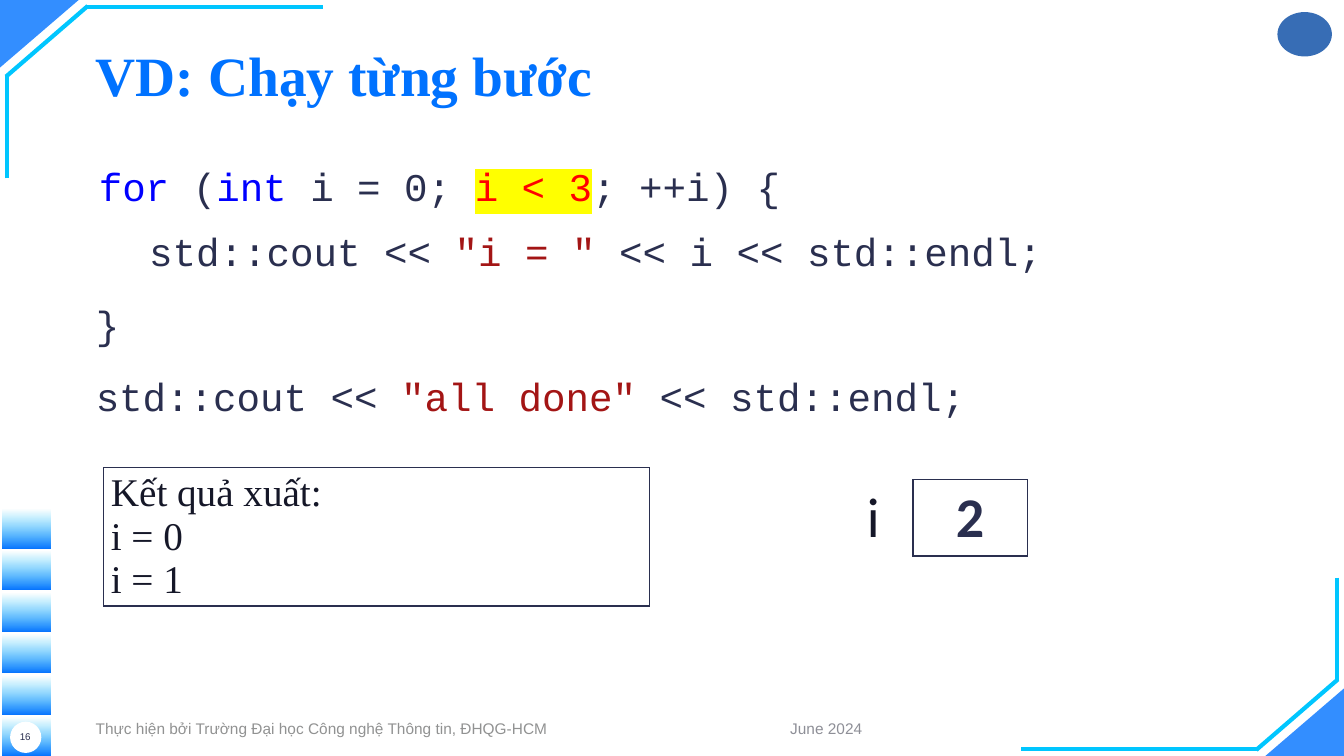
"""Build the slide that steps through a C++ for loop."""
from lxml import etree
from pptx import Presentation
from pptx.dml.color import RGBColor
from pptx.enum.shapes import MSO_CONNECTOR, MSO_SHAPE
from pptx.enum.text import MSO_ANCHOR, MSO_AUTO_SIZE, PP_ALIGN
from pptx.oxml.ns import qn
from pptx.util import Inches, Pt

STRAIGHT = MSO_CONNECTOR.STRAIGHT
TRIANGLE, RECT, OVAL = MSO_SHAPE.ISOSCELES_TRIANGLE, MSO_SHAPE.RECTANGLE, MSO_SHAPE.OVAL
TOP, MIDDLE = MSO_ANCHOR.TOP, MSO_ANCHOR.MIDDLE
LEFT, CENTER = PP_ALIGN.LEFT, PP_ALIGN.CENTER

WIDTH, HEIGHT = 13.33, 7.5
BLUE, CYAN, NAVY, INK = "0072FF", "00C6FF", "2A2F4F", "151728"
KEYWORD, STRING, ACTIVE, MARKER = "0000FF", "A31515", "FF0000", "FFFF00"
SERIF, SANS, MONO, ROUND = "Times New Roman", "Arial", "Courier New", "Calibri"

TITLE = "VD: Chạy từng bước"
LOOP = [
    [("for", KEYWORD), (" (", NAVY), ("int ", KEYWORD), ("i = 0; ", NAVY),
     ("i < 3", ACTIVE), ("; ++i) {\v\tstd::cout << ", NAVY),
     ('"i = "', STRING), (" << i << std::endl;", NAVY)],
    [("}", NAVY)],
    [("std::cout << ", NAVY), ('"all done" ', STRING), ("<< std::endl;", NAVY)],
]
LOOP_INDENTS = [(0.03, 0), (0.25, -0.25), (0.25, -0.25)]
OUTPUT = ["Kết quả xuất:", "i = 0", "i = 1"]
VARIABLE, VALUE = "i", "2"
FOOTERS = [
    ("Thực hiện bởi Trường Đại học Công nghệ Thông tin, ĐHQG-HCM",
     (0.85, 7.08, 4.72, 0.29), 11, "919292", LEFT),
    ("16", (0.06, 7.12, 0.38, 0.38), 7, NAVY, CENTER),
    ("June 2024", (7.05, 7.08, 2.29, 0.29), 11, "8E8F97", CENTER),
]
CORNER_LINES = [((3.2, 0.07), (0.85, 0.07)), ((0.87, 0.06), (0.06, 0.76)),
                ((0.07, 1.77), (0.07, 0.74))]
CORNER_SIZE = (0.78, 0.67)
BAR_COUNT, BAR_TOP, BAR_STEP = 6, 5.06, 0.412


def rgb(value):
    return RGBColor.from_string(value)


def box(at):
    return [Inches(n) for n in at]


def set_alpha(color_element, percent):
    etree.SubElement(color_element, qn("a:alpha")).set("val", str(percent * 1000))


def add_run(paragraph, text, size, font, color, bold=False):
    run = paragraph.add_run()
    run.text = text
    run.font.size, run.font.name, run.font.bold = Pt(size), font, bold
    run.font.color.rgb = rgb(color)
    return run


def add_plain(slide, kind, at, color=None):
    shape = slide.shapes.add_shape(kind, *box(at))
    shape.shadow.inherit = False
    shape.line.fill.background()
    if color:
        shape.fill.solid()
        shape.fill.fore_color.rgb = rgb(color)
    return shape


def add_corner(slide, turned):
    def place(x, y):
        return (WIDTH - x, HEIGHT - y) if turned else (x, y)

    w, h = CORNER_SIZE
    left, top = place(w, h) if turned else (0, 0)
    wedge = add_plain(slide, TRIANGLE, (left, top, w, h), BLUE)
    wedge.adjustments[0] = 1
    wedge.rotation = 0 if turned else 180
    set_alpha(wedge._element.spPr.find(".//" + qn("a:srgbClr")), 80)
    for start, end in CORNER_LINES:
        line = slide.shapes.add_connector(STRAIGHT, *box(place(*start) + place(*end)))
        line.line.color.rgb = rgb(CYAN)
        line.line.width = Pt(3)
        etree.SubElement(line._element.spPr, qn("a:effectLst"))


def add_bars(slide):
    for i in range(BAR_COUNT):
        bar = add_plain(slide, RECT, (0.02, BAR_TOP + i * BAR_STEP, 0.48, 0.38))
        bar.fill.gradient()
        bar.fill.gradient_angle = 90
        for stop, color in zip(bar.fill.gradient_stops, (BLUE, CYAN)):
            stop.color.rgb = rgb(color)
        set_alpha(bar._element.spPr.findall(".//" + qn("a:srgbClr"))[-1], 0)


def add_title(slide):
    title = slide.shapes.title
    title.left, title.top, title.width, title.height = box((0.85, 0.24, 11.57, 0.86))
    frame = title.text_frame
    frame.auto_size, frame.vertical_anchor = MSO_AUTO_SIZE.NONE, MIDDLE
    line = frame.paragraphs[0]
    line.alignment, line.line_spacing = LEFT, 1.2
    add_run(line, TITLE, 39.6, SERIF, BLUE, True)


def add_loop(slide):
    code = slide.placeholders[1]
    code.left, code.top, code.width, code.height = box((0.85, 1.35, 11.57, 5.41))
    frame = code.text_frame
    frame.auto_size, frame.vertical_anchor = MSO_AUTO_SIZE.NONE, TOP
    for i, (parts, (margin, indent)) in enumerate(zip(LOOP, LOOP_INDENTS)):
        line = frame.add_paragraph() if i else frame.paragraphs[0]
        props = line._p.get_or_add_pPr()
        props.set("marL", str(Inches(margin)))
        props.set("indent", str(Inches(indent)))
        etree.SubElement(props, qn("a:buNone"))
        line.alignment, line.line_spacing = LEFT, 1.37
        line.space_before, line.space_after = Pt(3 if i else 0), Pt(3)
        for text, color in parts:
            for j, piece in enumerate(text.split("\v")):
                if j:
                    line.add_line_break()
                run = add_run(line, piece, 28, MONO, color)
                if color == ACTIVE:
                    mark = etree.Element(qn("a:highlight"))
                    etree.SubElement(mark, qn("a:srgbClr")).set("val", MARKER)
                    run._r.rPr.find(qn("a:solidFill")).addnext(mark)
    frame.margin_top = Inches(0.09)


def add_grid(slide, at, columns):
    table = slide.shapes.add_table(1, columns, *box(at)).table
    table.first_row = table.horz_banding = False
    return table


def format_cell(cell, lines, size, font, color, sides, anchor, align, bold=False):
    cell.fill.background()
    cell.vertical_anchor = anchor
    cell.margin_left = cell.margin_right = Inches(0.07)
    cell.margin_top = cell.margin_bottom = Inches(0.04)
    props = cell._tc.get_or_add_tcPr()
    for i, side in enumerate("LRTB"):
        border = etree.Element(qn("a:ln" + side), w=str(Pt(1)))
        if side in sides:
            fill = etree.SubElement(border, qn("a:solidFill"))
            etree.SubElement(fill, qn("a:srgbClr")).set("val", NAVY)
        else:
            etree.SubElement(border, qn("a:noFill"))
        props.insert(i, border)
    for i, text in enumerate(lines):
        line = cell.text_frame.add_paragraph() if i else cell.text_frame.paragraphs[0]
        line.alignment = align
        add_run(line, text, size, font, color, bold)


def add_tables(slide):
    state = add_grid(slide, (7.92, 4.76, 2.27, 0.74), 2)
    name, value = state.cell(0, 0), state.cell(0, 1)
    format_cell(name, [VARIABLE], 40, ROUND, INK, "R", MIDDLE, CENTER)
    name.margin_left = Inches(0.42)
    format_cell(value, [VALUE], 40, ROUND, NAVY, "LRTB", MIDDLE, CENTER, True)
    output = add_grid(slide, (1.03, 4.64, 5.41, 1.37), 1)
    format_cell(output.cell(0, 0), OUTPUT, 28, SERIF, INK, "LRTB", TOP, LEFT)


def add_footers(slide):
    for text, at, size, color, align in FOOTERS:
        frame = slide.shapes.add_textbox(*box(at)).text_frame
        frame.word_wrap, frame.vertical_anchor = True, MIDDLE
        frame.paragraphs[0].alignment = align
        add_run(frame.paragraphs[0], text, size, SANS, color)


def main():
    deck = Presentation()
    deck.slide_width, deck.slide_height = Inches(WIDTH), Inches(HEIGHT)
    slide = deck.slides.add_slide(deck.slide_layouts[1])
    add_corner(slide, False)
    add_corner(slide, True)
    add_bars(slide)
    add_plain(slide, OVAL, (12.67, 0.12, 0.54, 0.44), "376DB5")
    add_plain(slide, OVAL, (0.1, 7.16, 0.31, 0.31), "FFFFFF")
    add_title(slide)
    add_loop(slide)
    add_tables(slide)
    add_footers(slide)
    deck.save("out.pptx")


if __name__ == "__main__":
    main()
